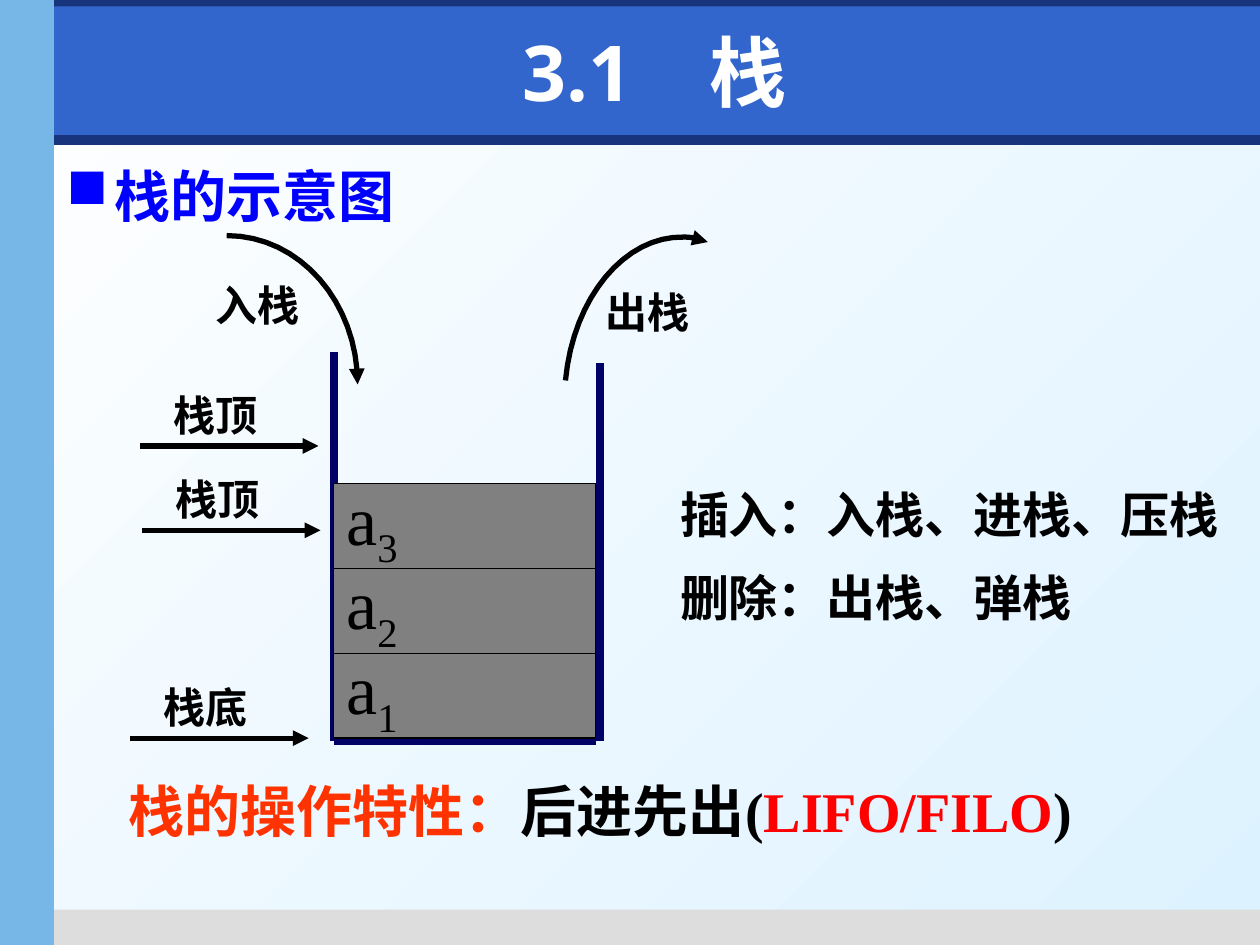
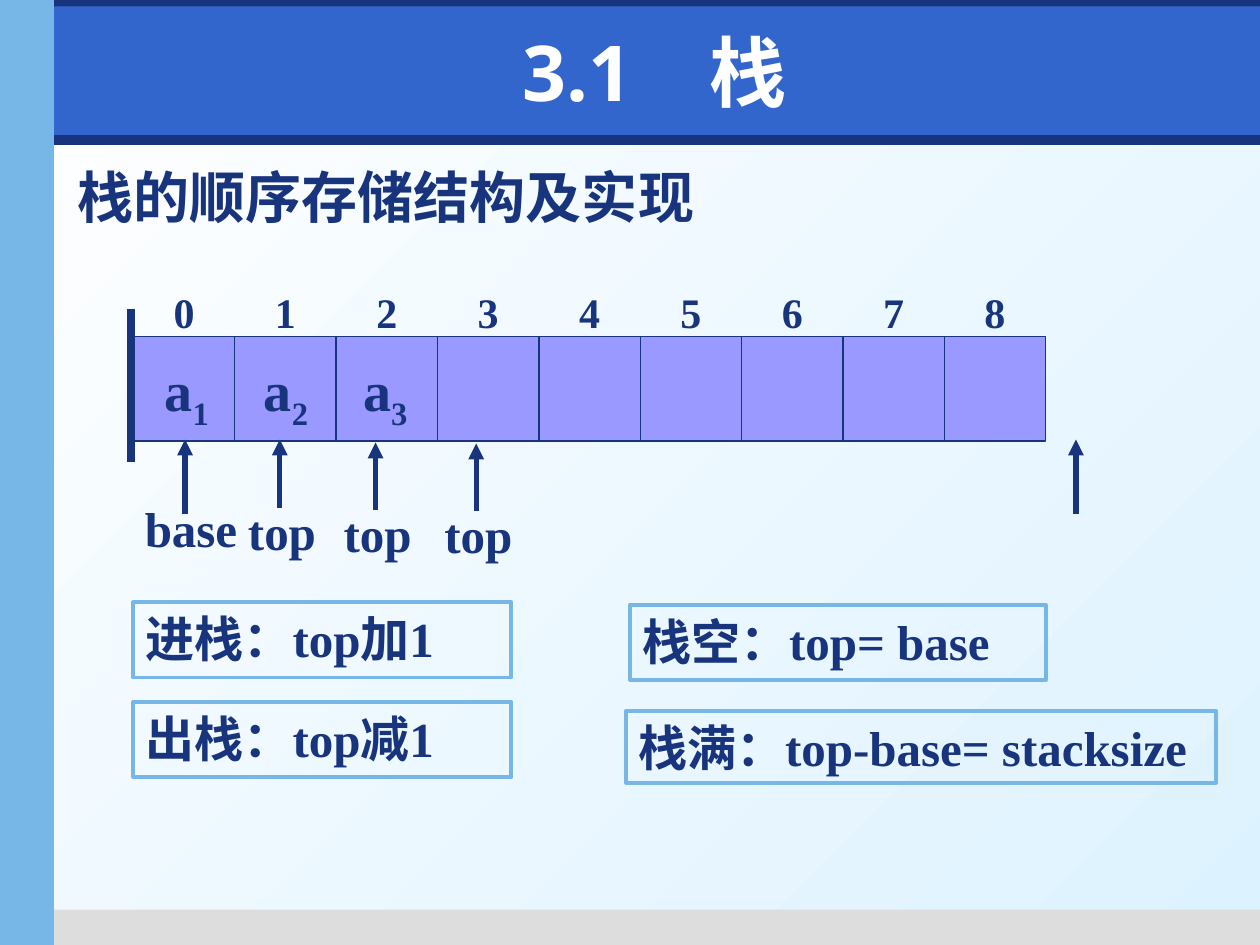
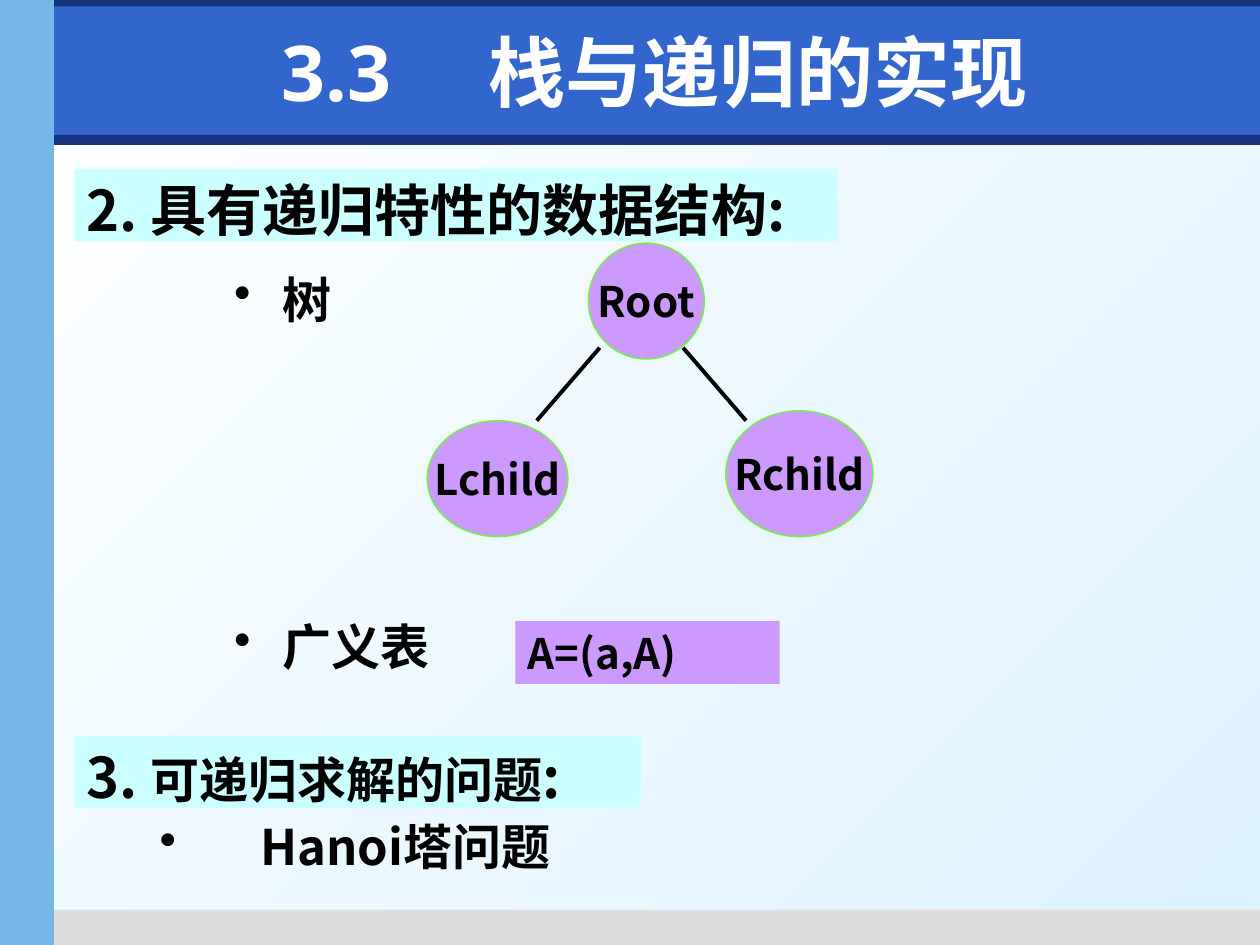
from lxml import etree
from pptx import Presentation
from pptx.dml.color import RGBColor
from pptx.enum.shapes import MSO_CONNECTOR, MSO_SHAPE
from pptx.enum.text import MSO_ANCHOR, PP_ALIGN
from pptx.oxml.ns import qn
from pptx.util import Cm, Pt

RECT, OVAL = MSO_SHAPE.RECTANGLE, MSO_SHAPE.OVAL
STRAIGHT = MSO_CONNECTOR.STRAIGHT
LEFT, CENTER = PP_ALIGN.LEFT, PP_ALIGN.CENTER
TOP, MIDDLE = MSO_ANCHOR.TOP, MSO_ANCHOR.MIDDLE

SERIF, SANS, TITLE_FONT, CJK = "Times New Roman", "Arial", "Open Sans", "Noto Sans CJK SC"

WHITE = RGBColor(0xFF, 0xFF, 0xFF)
BLACK = RGBColor(0, 0, 0)
ICE = RGBColor(0xDD, 0xF2, 0xFF)
NAVY = RGBColor(0x17, 0x34, 0x7D)
ROYAL = RGBColor(0x33, 0x66, 0xCC)
SKY = RGBColor(0x77, 0xB7, 0xE7)
SILVER = RGBColor(0xDD, 0xDD, 0xDD)
BLUE = RGBColor(0, 0, 0xFF)
WALL = RGBColor(0, 0, 0x66)
GRAY = RGBColor(0x80, 0x80, 0x80)
ORANGE = RGBColor(0xFF, 0x33, 0)
RED = RGBColor(0xFF, 0, 0)
PERIWINKLE = RGBColor(0x99, 0x99, 0xFF)
AQUA = RGBColor(0xCC, 0xFF, 0xFF)
LILAC = RGBColor(0xCC, 0x99, 0xFF)
LIME = RGBColor(0x66, 0xFF, 0x33)

# ---- Shared content: all lengths in cm, boxes as left, top, width, height ----
SLIDE_W, SLIDE_H = 25.4, 19.05
BANDS = [
    ((0.1, 2.72, 25.3, 0.2), NAVY),
    ((0.89, 18.34, 24.51, 0.71), SILVER),
    ((0, 0, SLIDE_W, 0.53), NAVY),
    ((1.09, 0.13, 24.31, 2.59), ROYAL),
    ((0, 0, 1.09, SLIDE_H), SKY),
]
TITLE_BOX = (1.5, 0.33, 23.39, 2.21)
HANGING = 0.97

# ---- Slide 1 content ----
STACK_ITEMS = ["3", "2", "1"]
STACK_LEFT, STACK_TOP, STACK_W, ITEM_H = 6.73, 9.75, 5.28, 1.71
STACK_WALLS = [
    ((6.73, 7.09), (6.73, 14.94)),
    ((6.73, 14.94), (12.01, 14.94)),
    ((12.09, 7.32), (12.09, 14.94)),
]
STACK_MARKS = [("栈底", 2.62, 14.88), ("栈顶", 2.82, 8.99), ("栈顶", 2.86, 10.69)]
PUSH_CURVE = [[(4.57, 4.75), (6.05, 4.75), (7.21, 6.1), (7.21, 7.75)]]
POP_CURVE = [
    [(11.4, 7.67), (11.56, 5.99), (12.6, 4.75), (13.79, 4.78)],
    [(13.79, 4.78), (13.97, 4.78), (14.12, 4.83), (14.27, 4.88)],
]
MOVES = [("入栈", (4.09, 5.51, 2.49, 1.27), PUSH_CURVE),
         ("出栈", (11.96, 5.64, 2.34, 1.27), POP_CURVE)]
OPERATIONS = ["插入：入栈、进栈、压栈", "删除：出栈、弹栈"]
PROPERTY = [("栈的操作特性：", {"color": ORANGE}), ("后进先出(", {}),
            ("LIFO/FILO", {"color": RED}), (")", {})]

# ---- Slide 2 content ----
CELL_COUNT = 9
ARRAY_LEFT, ARRAY_TOP, ARRAY_W, ARRAY_H = 2.69, 6.78, 18.39, 2.11
ELEMENTS = ["1", "2", "3"]
POINTERS = [  # label, x, tail y, tip y
    ("base", 3.73, 10.36, 8.86),
    ("top", 5.64, 10.24, 8.86),
    ("top", 7.57, 10.29, 8.92),
    ("top", 9.6, 10.31, 8.94),
    ("", 21.69, 10.36, 8.86),
]
RULES = [
    ("进栈：top加1", (2.69, 12.14, 7.62, 1.52)),
    ("出栈：top减1", (2.69, 14.15, 7.62, 1.52)),
    ("栈空：top= base", (12.7, 12.19, 8.38, 1.52)),
    ("栈满：top-base= stacksize", (12.62, 14.33, 11.89, 1.45)),
]

# ---- Slide 3 content ----
HEADINGS = [
    ([("2. 具有递归特性的数据结构:", {})], (1.5, 3.4, 15.39, 1.47)),
    ([("3. ", {}), ("可递归求解的问题", {"size": 28}), (":", {})], (1.5, 14.83, 11.43, 1.47)),
]
EXAMPLES = [  # text, box, hanging indent
    ("树", (4.47, 5.31, 7.62, 2.11), HANGING),
    ("广义表", (4.47, 12.29, 7.62, 2.11), HANGING),
    ("Hanoi塔问题", (2.97, 16.33, 19.74, 1.9), 2.03),
]
TREE_NODES = [
    ("Root", (11.86, 4.9, 2.34, 2.34)),
    ("Lchild", (8.61, 8.48, 2.84, 2.34)),
    ("Rchild", (14.63, 8.28, 2.97, 2.54)),
]
TREE_EDGES = [((12.09, 7.01), (10.82, 8.48)), ((13.77, 7.01), (15.04, 8.48))]


def add_box(slide, box, kind=RECT, fill=None, line=None, width=0.75):
    shape = slide.shapes.add_shape(kind, *map(Cm, box))
    shape.shadow.inherit = False
    if fill is None:
        shape.fill.background()
    else:
        shape.fill.solid()
        shape.fill.fore_color.rgb = fill
    if line is None:
        shape.line.fill.background()
    else:
        shape.line.color.rgb = line
        shape.line.width = Pt(width)
    return shape


def add_arrowhead(line):
    etree.SubElement(line._get_or_add_ln(), qn("a:tailEnd"), type="triangle")


def add_line(slide, start, end, color, width, arrow=False):
    connector = slide.shapes.add_connector(STRAIGHT, *map(Cm, start + end))
    connector.line.color.rgb = color
    connector.line.width = Pt(width)
    if arrow:
        add_arrowhead(connector.line)
    etree.SubElement(connector._element.spPr, qn("a:effectLst"))


def add_curved_arrow(slide, curves, color, width, steps=16):
    """Draw cubic Bezier curves, end to end, as one open outline."""
    points = [curves[0][0]]
    for curve in curves:
        for step in range(1, steps + 1):
            t = step / steps
            weights = ((1 - t) ** 3, 3 * t * (1 - t) ** 2, 3 * t * t * (1 - t), t ** 3)
            points.append(tuple(sum(w * p[axis] for w, p in zip(weights, curve))
                                for axis in (0, 1)))
    points = [(Cm(x), Cm(y)) for x, y in points]
    builder = slide.shapes.build_freeform(*points[0])
    builder.add_line_segments(points[1:], close=False)
    outline = builder.convert_to_shape()
    outline.shadow.inherit = False
    outline.fill.background()
    outline.line.color.rgb = color
    outline.line.width = Pt(width)
    add_arrowhead(outline.line)


def add_text(place, *paragraphs, slide=None, size=24, font=SERIF, color=BLACK, bold=True,
             align=LEFT, anchor=TOP, insets=(0.25, 0.13, 0.25, 0.13), wrap=True,
             before=0, hanging=0, bullet=None, tabs=()):
    """Write paragraphs (a string or a list of runs) in a shape, or in a new text box."""
    shape = slide.shapes.add_textbox(*map(Cm, place)) if slide else place
    frame = shape.text_frame
    frame.word_wrap = wrap
    frame.vertical_anchor = anchor
    frame.margin_left, frame.margin_top, frame.margin_right, frame.margin_bottom = map(Cm, insets)
    for number, runs in enumerate(paragraphs):
        paragraph = frame.add_paragraph() if number else frame.paragraphs[0]
        paragraph.alignment = align
        if number:
            paragraph.space_before = Pt(before)
        properties = paragraph._p.get_or_add_pPr()
        if hanging:
            properties.set("marL", str(Cm(hanging)))
            properties.set("indent", str(-Cm(hanging)))
        if bullet:
            etree.SubElement(properties, qn("a:buChar"), char=bullet)
        if tabs:
            tab_list = etree.SubElement(properties, qn("a:tabLst"))
            for tab in tabs:
                etree.SubElement(tab_list, qn("a:tab"), pos=str(Cm(tab)), algn="ctr")
        for words, changes in [(runs, {})] if isinstance(runs, str) else runs:
            run = paragraph.add_run()
            run.text = words
            run.font.size = Pt(changes.get("size", size))
            run.font.name = font
            run.font.bold = bold
            run.font.color.rgb = changes.get("color", color)
            run_properties = run._r.get_or_add_rPr()
            etree.SubElement(run_properties, qn("a:ea"), typeface=CJK)
            if changes.get("subscript"):
                run_properties.set("baseline", "-25000")


def element(index):
    return [("a", {}), (index, {"subscript": True})]


def add_slide(deck, title):
    slide = deck.slides.add_slide(deck.slide_layouts[6])
    backdrop = slide.background.fill
    backdrop.gradient()
    backdrop.gradient_angle = 315
    for stop, color in zip(backdrop.gradient_stops, (WHITE, ICE)):
        stop.color.rgb = color
    for box, color in BANDS:
        add_box(slide, box, fill=color)
    add_text(TITLE_BOX, title, slide=slide, size=44, font=TITLE_FONT, color=WHITE,
             align=CENTER, anchor=MIDDLE)
    return slide


deck = Presentation()
deck.slide_width, deck.slide_height = Cm(SLIDE_W), Cm(SLIDE_H)

# ---- Slide 1: how a stack works ----
slide = add_slide(deck, "3.1　栈")
add_text((1.09, 3.12, 23.8, 1.7), "栈的示意图", slide=slide, size=32, font=SANS, color=BLUE,
         hanging=HANGING, bullet="■")
add_text((2.34, 15.52, 20.57, 1.63), PROPERTY, slide=slide, size=32)
for start, end in STACK_WALLS:
    add_line(slide, start, end, WALL, 4.5)
for row, index in enumerate(STACK_ITEMS):
    item = add_box(slide, (STACK_LEFT, STACK_TOP + row * ITEM_H, STACK_W, ITEM_H),
                   fill=GRAY, line=BLACK)
    add_text(item, element(index), size=40, bold=False, anchor=MIDDLE,
             insets=(0.25, 0, 0.25, 0.13))
for label, box, curves in MOVES:
    add_curved_arrow(slide, curves, BLACK, 3)
    add_text(box, label, slide=slide)
for label, x, y in STACK_MARKS:
    add_line(slide, (x, y), (x + 3.6, y), BLACK, 3, arrow=True)
    add_text((x + 0.42, y - 1.27, 2.54, 1.27), label, slide=slide)
add_text((13.46, 9.63, 11.46, 3.23), *OPERATIONS, slide=slide, size=28, before=14)

# ---- Slide 2: sequential storage ----
slide = add_slide(deck, "3.1　栈")
add_text((1.32, 3.15, 14.76, 1.6), "栈的顺序存储结构及实现", slide=slide, size=32, color=NAVY)
for rule, box in RULES:
    add_text(add_box(slide, box, line=SKY, width=2.25), rule, size=28, color=NAVY)

# Array with its cell numbers and elements
cell_w = ARRAY_W / CELL_COUNT
array_bottom = ARRAY_TOP + ARRAY_H
add_box(slide, (ARRAY_LEFT, ARRAY_TOP, ARRAY_W, ARRAY_H), fill=PERIWINKLE, line=NAVY)
add_text((ARRAY_LEFT, 5.64, ARRAY_W, 1.27),
         "".join(f"\t{number}" for number in range(CELL_COUNT)), slide=slide, color=NAVY,
         insets=(0, 0.13, 0, 0.13), tabs=[(i + 0.5) * cell_w for i in range(CELL_COUNT)])
for i in range(1, CELL_COUNT):
    x = ARRAY_LEFT + i * cell_w
    add_line(slide, (x, ARRAY_TOP), (x, array_bottom), NAVY, 0.75)
add_line(slide, (2.64, 6.22), (2.64, 9.32), NAVY, 4.5)
for i, index in enumerate(ELEMENTS):
    add_text((3.07 + 2 * i, 7.04, 1.7, 1.6), element(index), slide=slide, size=32, color=NAVY)

# Pointers below the array
for label, x, tail, tip in POINTERS:
    add_line(slide, (x, tail), (x, tip), NAVY, 3, arrow=True)
    if label == "base":
        add_text((x - 1.11, tail - 0.45, 2.46, 1.45), label, slide=slide, size=28,
                 color=NAVY, align=CENTER)
    elif label:
        add_text((x - 0.89, tail - 0.26, 2.01, 1.45), label, slide=slide, size=28, color=NAVY)

# ---- Slide 3: recursive structures and problems ----
slide = add_slide(deck, "3.3 　栈与递归的实现")
for runs, box in HEADINGS:
    add_text(add_box(slide, box, fill=AQUA), runs, size=32, font=CJK, hanging=HANGING)
for example, box, hanging in EXAMPLES:
    add_text(box, example, slide=slide, size=28, font=CJK, hanging=hanging, bullet="•")
for node, box in TREE_NODES:
    add_text(add_box(slide, box, OVAL, LILAC, LIME), node, font=CJK, align=CENTER,
             anchor=MIDDLE, wrap=False)
for start, end in TREE_EDGES:
    add_line(slide, start, end, BLACK, 2.25)
add_text(add_box(slide, (10.39, 12.52, 5.33, 1.27), fill=LILAC), "A=(a,A)", font=CJK)

deck.save("out.pptx")
